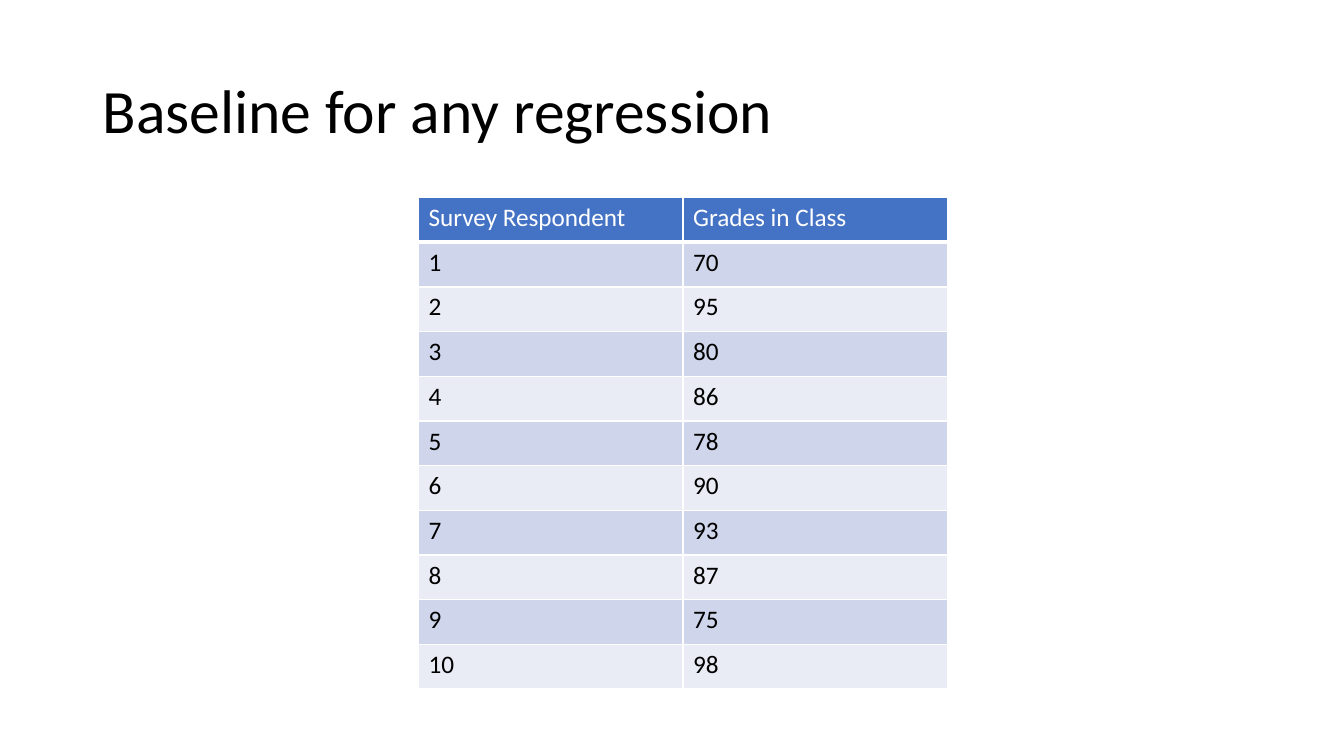
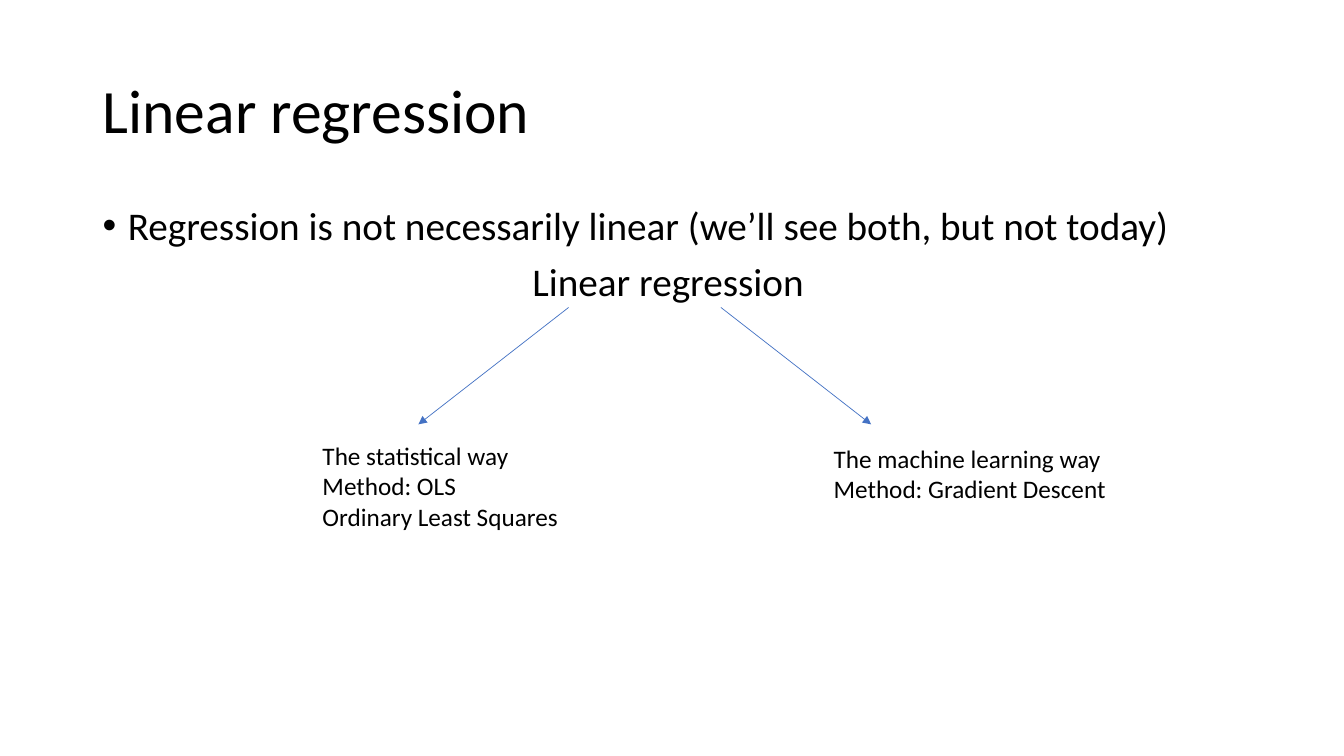
"""Build two slides on the baseline for regression and on linear regression."""
from dataclasses import dataclass

from lxml.etree import SubElement as Sub
from pptx import Presentation
from pptx.dml.color import RGBColor as Rgb
from pptx.enum.shapes import MSO_CONNECTOR as Link
from pptx.enum.text import MSO_ANCHOR as Anchor, MSO_AUTO_SIZE as Fit, PP_ALIGN as Align
from pptx.oxml.ns import qn
from pptx.slide import Slide
from pptx.table import _Cell as Cell
from pptx.text.text import _Paragraph as Para
from pptx.util import Inches, Pt


@dataclass(frozen=True)
class Theme:
    """Colours, font and type sizes."""
    font: str = "Calibri"
    ink: str = "000000"
    paper: str = "FFFFFF"
    blue: str = "4472C4"
    dark: str = "CFD5EA"
    light: str = "E9EBF5"
    title: int = 44
    body: int = 28
    note: int = 18


@dataclass(frozen=True)
class Box:
    """A place on the slide, in inches."""
    left: float
    top: float
    width: float
    height: float


@dataclass(frozen=True)
class Branch:
    """An arrow and the note it points to."""
    start: tuple[float, float]
    end: tuple[float, float]
    box: Box
    lines: tuple[str, ...]


THEME = Theme()
TITLE = Box(0.92, 0.4, 11.5, 1.45)
BODY = Box(0.92, 2, 11.5, 4.76)
TABLE = Box(4.15, 1.96, 5.25, 4.88)
HEADS = ("Survey Respondent", "Grades in Class")
GRADES = (70, 95, 80, 86, 78, 90, 93, 87, 75, 98)
TREE = (
    Branch((5.64, 3.05), (4.15, 4.21), Box(3.1, 4.32, 2.88, 1.01),
           ("The statistical way", "Method: OLS", "Ordinary Least Squares")),
    Branch((7.15, 3.05), (8.64, 4.21), Box(8.17, 4.35, 2.97, 0.71),
           ("The machine learning way", "Method: Gradient Descent")),
)


def write(para: Para, text: str, *, size: int = THEME.note, color: str = THEME.ink,
          align: Align = Align.LEFT, space: float = 1.0, before: int = 0,
          bullet: bool = False) -> None:
    """Put formatted text in a paragraph."""
    para.alignment, para.line_spacing, para.space_before = align, space, Pt(before)
    run = para.add_run()
    run.text = text
    font = run.font
    font.name, font.size, font.bold = THEME.font, Pt(size), False
    font.color.rgb = Rgb.from_string(color)
    if bullet:
        props = para._p.get_or_add_pPr()
        props.set("marL", str(Inches(0.25)))
        props.set("indent", str(-Inches(0.25)))
        Sub(props, qn("a:buFont"), typeface="Arial")
        Sub(props, qn("a:buChar"), char="•")


def add_text(slide: Slide, box: Box, lines: tuple[tuple[str, dict], ...], *,
             anchor: Anchor = Anchor.TOP, fit: Fit = Fit.NONE) -> None:
    """Add a text box with one paragraph for each line."""
    shape = slide.shapes.add_textbox(Inches(box.left), Inches(box.top),
                                     Inches(box.width), Inches(box.height))
    frame = shape.text_frame
    frame.word_wrap, frame.auto_size, frame.vertical_anchor = True, fit, anchor
    for row, (text, style) in enumerate(lines):
        para = frame.add_paragraph() if row else frame.paragraphs[0]
        write(para, text, **style)


def add_page(deck: Presentation, title: str) -> Slide:
    """Add a blank slide with a title."""
    slide = deck.slides.add_slide(deck.slide_layouts[6])
    style = {"size": THEME.title, "space": 0.9}
    add_text(slide, TITLE, ((title, style),), anchor=Anchor.MIDDLE)
    return slide


def style_cell(cell: Cell, fill: str, base: int) -> None:
    """Give a cell white borders and a fill."""
    props = cell._tc.get_or_add_tcPr()
    for side, width in (("L", 1), ("R", 1), ("T", 1), ("B", base)):
        line = Sub(props, qn(f"a:ln{side}"), w=str(Pt(width)))
        Sub(Sub(line, qn("a:solidFill")), qn("a:srgbClr"), val=THEME.paper)
    cell.fill.solid()
    cell.fill.fore_color.rgb = Rgb.from_string(fill)


def add_grades(slide: Slide) -> None:
    """Add the table of grades."""
    rows = (HEADS, *enumerate(GRADES, 1))
    table = slide.shapes.add_table(len(rows), len(HEADS), Inches(TABLE.left),
                                   Inches(TABLE.top), Inches(TABLE.width),
                                   Inches(TABLE.height)).table
    for y, row in enumerate(rows):
        head = y == 0
        fill = THEME.blue if head else (THEME.light, THEME.dark)[y % 2]
        for x, text in enumerate(row):
            cell = table.cell(y, x)
            style_cell(cell, fill, 3 if head else 1)
            write(cell.text_frame.paragraphs[0], str(text),
                  color=THEME.paper if head else THEME.ink)


def add_arrow(slide: Slide, start: tuple[float, float], end: tuple[float, float]) -> None:
    """Add a thin blue arrow."""
    arrow = slide.shapes.add_connector(Link.STRAIGHT, *map(Inches, start + end))
    arrow.line.color.rgb = Rgb.from_string(THEME.blue)
    arrow.line.width = Pt(0.5)
    Sub(arrow.line._get_or_add_ln(), qn("a:tailEnd"), type="triangle")
    Sub(arrow._element.spPr, qn("a:effectLst"))


def add_tree(slide: Slide) -> None:
    """Add the body text and its two branches."""
    style = {"size": THEME.body, "space": 0.9, "before": 10}
    add_text(slide, BODY, (
        ("Regression is not necessarily linear (we’ll see both, but not today)",
         style | {"bullet": True}),
        ("Linear regression ", style | {"align": Align.CENTER}),
    ))
    for branch in TREE:
        add_arrow(slide, branch.start, branch.end)
        add_text(slide, branch.box, tuple((line, {}) for line in branch.lines),
                 fit=Fit.SHAPE_TO_FIT_TEXT)


def main() -> None:
    """Build and save the deck."""
    deck = Presentation()
    deck.slide_width, deck.slide_height = Inches(13.33), Inches(7.5)
    add_grades(add_page(deck, "Baseline for any regression"))
    add_tree(add_page(deck, "Linear regression"))
    deck.save("out.pptx")


if __name__ == "__main__":
    main()
